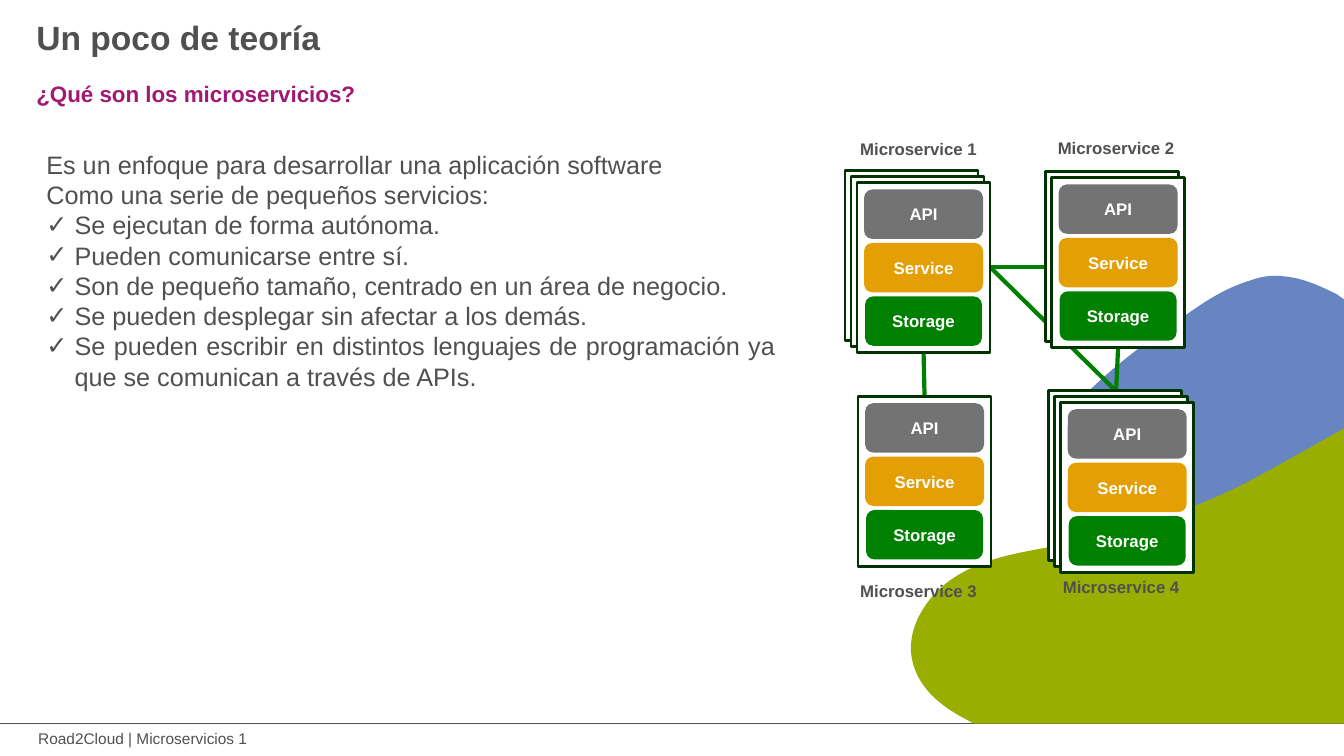
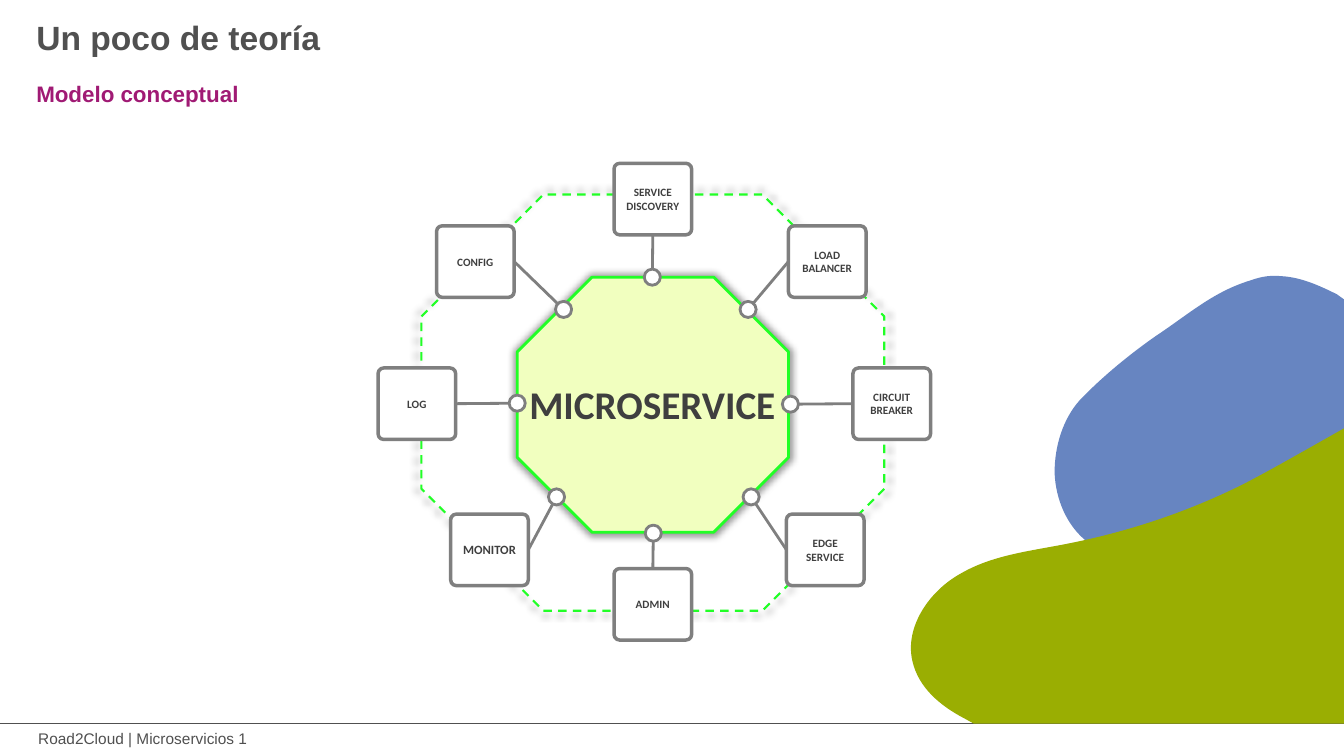
from dataclasses import dataclass

from lxml import etree
from pptx import Presentation
from pptx import util as u
from pptx.dml.color import RGBColor
from pptx.enum import dml, shapes, text
from pptx.oxml import ns

SCALE = 9144  # EMU in one px, 100 px to the inch
SLIDE_W, SLIDE_H = 1333, 750
FOOTER_Y = 718


@dataclass(frozen=True)
class Theme:
    sans: str = "Arial"
    diagram: str = "Calibri"
    ink: str = "505050"
    accent: str = "A01A74"
    white: str = "FFFFFF"
    hill_blue: str = "6785C1"
    hill_green: str = "9AAE02"
    card_edge: str = "003300"
    api: str = "737373"
    service: str = "E39F03"
    storage: str = "008000"
    neon: str = "21FF26"
    core: str = "F1FFBF"
    node_edge: str = "7F7F7F"
    node_ink: str = "3F3F3F"
    shadow: str = "000000"
    title_size: int = 24
    subtitle_size: int = 16
    body_size: int = 18
    label_size: int = 12
    footer_size: int = 11
    core_size: int = 28
    node_size: int = 8


THEME = Theme()
PAD = (10, 5)
TIGHT_PAD = (7, 4)

# Hills: a start point, then lines (2 numbers) and curves (6 numbers)
BLUE_HILL = [
    (1271, 274), (1290, 275, 1308, 283, 1326, 292), (1333, 297), (1333, 496),
    (1328, 496), (1308, 494, 1288, 483, 1267, 490),
    (1240, 500, 1205, 523, 1181, 539), (1161, 552, 1143, 561, 1119, 557),
    (1104, 554, 1090, 548, 1079, 538), (1058, 522, 1047, 495, 1046, 469),
    (1046, 443, 1054, 416, 1071, 397), (1093, 374, 1121, 351, 1147, 333),
    (1180, 311, 1204, 289, 1241, 278), (1252, 274, 1261, 273, 1271, 274),
]
GREEN_HILL = [
    (SLIDE_W, 425), (SLIDE_W, FOOTER_Y), (966, FOOTER_Y), (957, 713),
    (932, 700, 911, 682, 905, 656), (897, 622, 922, 586, 953, 569),
    (984, 551, 1020, 547, 1056, 540), (1118, 528, 1178, 508, 1234, 480),
    (1257, 468, 1280, 455, 1303, 442),
]

INTRO = ["Es un enfoque para desarrollar una aplicación software",
         "Como una serie de pequeños servicios:"]
TRAITS = [
    "Se ejecutan de forma autónoma.",
    "Pueden comunicarse entre sí.",
    "Son de pequeño tamaño, centrado en un área de negocio.",
    "Se pueden desplegar sin afectar a los demás.",
    "Se pueden escribir en distintos lenguajes de programación ya que se "
    "comunican a través de APIs.",
]

# Microservices: label, label position, front card position, cards in the stack
MICROSERVICES = [
    ("Microservice 1", (817, 133), (850, 181), 3),
    ("Microservice 2", (1013, 132), (1043, 176), 2),
    ("Microservice 3", (817, 571), (851, 393), 1),
    ("Microservice 4", (1018, 567), (1052, 399), 3),
]
CALLS = [((982, 265), (1107, 388)), ((916, 349), (917, 393)),
         ((982, 265), (1037, 265)), ((1109, 344), (1107, 388))]
LAYERS = [("API", THEME.api, 118), ("Service", THEME.service, 118),
          ("Storage", THEME.storage, 116)]
CARD_W, CARD_H, CARD_SHIFT = 132, 169, 6
LAYER_H, LAYER_TOP, LAYER_STEP = 49, 7, 53

# Supporting services: label, box position, dot centre, side that is linked
TOP, LEFT, BOTTOM, RIGHT = range(4)
SUPPORT = [
    ("SERVICE DISCOVERY", (609, 162), (647, 275), BOTTOM),
    ("LOAD BALANCER", (782, 224), (742, 307), LEFT),
    ("CIRCUIT BREAKER", (846, 365), (784, 401), LEFT),
    ("EDGE SERVICE", (780, 510), (745, 493), LEFT),
    ("ADMIN", (609, 564), (648, 529), TOP),
    ("MONITOR", (447, 510), (552, 493), RIGHT),
    ("LOG", (375, 365), (513, 400), RIGHT),
    ("CONFIG", (433, 224), (559, 307), RIGHT),
]
NODE_W, NODE_H, DOT = 77, 71, 16


def px(value):
    return u.Emu(round(value * SCALE))


def rgb(code):
    return RGBColor.from_string(code)


def write(shape, lines, size, color, font=THEME.sans, bold=False,
          align=text.PP_ALIGN.LEFT, anchor=text.MSO_ANCHOR.TOP, pad=PAD):
    frame = shape.text_frame
    frame.word_wrap = True
    frame.vertical_anchor = anchor
    frame.margin_left = frame.margin_right = px(pad[0])
    frame.margin_top = frame.margin_bottom = px(pad[1])
    frame.text = "\n".join(lines)
    for paragraph in frame.paragraphs:
        paragraph.alignment = align
        for run in paragraph.runs:
            run.font.name, run.font.size, run.font.bold = font, u.Pt(size), bold
            run.font.color.rgb = rgb(color)
    return frame


def add_text(slide, box, lines, size, color, **style):
    label = slide.shapes.add_textbox(*map(px, box))
    return write(label, lines, size, color, **style)


def paint(shape, fill=None, edge=None, weight=0):
    shape.shadow.inherit = False
    if fill:
        shape.fill.solid()
        shape.fill.fore_color.rgb = rgb(fill)
    else:
        shape.fill.background()
    if edge:
        shape.line.color.rgb = rgb(edge)
        shape.line.width = u.Pt(weight)
    else:
        shape.line.fill.background()
    return shape


def add_box(slide, kind, box, fill=None, edge=None, weight=0):
    return paint(slide.shapes.add_shape(kind, *map(px, box)), fill, edge, weight)


def add_line(slide, start, end, color, weight):
    line = slide.shapes.add_connector(
        shapes.MSO_CONNECTOR.STRAIGHT, *map(px, (*start, *end)))
    line.line.color.rgb = rgb(color)
    line.line.width = u.Pt(weight)
    etree.SubElement(line._element.spPr, ns.qn("a:effectLst"))
    return line


def add_glow(shape):
    effects = shape._element.spPr.find(ns.qn("a:effectLst"))
    outer = etree.SubElement(effects, ns.qn("a:outerShdw"), blurRad=str(u.Pt(5)),
                             sx="102000", sy="102000", algn="ctr", rotWithShape="0")
    color = etree.SubElement(outer, ns.qn("a:srgbClr"), val=THEME.shadow)
    etree.SubElement(color, ns.qn("a:alpha"), val="40000")


def add_hill(slide, outline, fill):
    points = [pair for part in outline for pair in zip(part[::2], part[1::2])]
    builder = slide.shapes.build_freeform(*points[0], scale=SCALE)
    builder.add_line_segments(points[1:], close=True)
    hill = paint(builder.convert_to_shape(), fill)
    # Join every three points of a curve into one Bezier segment
    steps = iter(list(hill._element.iter(ns.qn("a:lnTo"))))
    for part in outline[1:]:
        step = next(steps)
        if len(part) == 6:
            step.addprevious(curve := etree.Element(ns.qn("a:cubicBezTo")))
            for handle in (step, next(steps), next(steps)):
                curve.append(handle[0])
                handle.getparent().remove(handle)


def add_check(paragraph, indent=28):
    props = paragraph._p.get_or_add_pPr()
    props.set("marL", str(px(indent)))
    props.set("indent", str(px(-indent)))
    etree.SubElement(props, ns.qn("a:buFont"), typeface=THEME.sans)
    etree.SubElement(props, ns.qn("a:buChar"), char="✓")


def add_base_slide(deck, subtitle):
    slide = deck.slides.add_slide(deck.slide_layouts[6])
    # Footer line, hills and footer
    add_line(slide, (0, FOOTER_Y), (SLIDE_W, FOOTER_Y), THEME.ink, 0.5)
    add_hill(slide, BLUE_HILL, THEME.hill_blue)
    add_hill(slide, GREEN_HILL, THEME.hill_green)
    add_text(slide, (28, 718, 439, 29), ["Road2Cloud | Microservicios 1"],
             THEME.footer_size, THEME.ink)
    # Title and subtitle
    add_text(slide, (29, 13, 556, 48), ["Un poco de teoría"],
             THEME.title_size, THEME.ink, bold=True, pad=TIGHT_PAD)
    add_text(slide, (29, 75, 496, 35), [subtitle],
             THEME.subtitle_size, THEME.accent, bold=True, pad=TIGHT_PAD)
    return slide


def add_microservice(slide, label, label_at, front, cards):
    x, y = front
    for behind in reversed(range(cards)):
        shift = behind * CARD_SHIFT
        add_box(slide, shapes.MSO_SHAPE.RECTANGLE,
                (x - shift, y - shift, CARD_W, CARD_H),
                THEME.white, THEME.card_edge, 2)
    for row, (name, fill, width) in enumerate(LAYERS):
        layer = add_box(slide, shapes.MSO_SHAPE.ROUNDED_RECTANGLE,
                        (x + (CARD_W - width) // 2, y + LAYER_TOP + row * LAYER_STEP,
                         width, LAYER_H), fill)
        write(layer, [name], THEME.label_size, THEME.white, bold=True,
              align=text.PP_ALIGN.CENTER, anchor=text.MSO_ANCHOR.MIDDLE)
    add_text(slide, (*label_at, 188, 27), [label], THEME.label_size, THEME.ink,
             bold=True, align=text.PP_ALIGN.CENTER)


def add_support(slide, label, at, dot, side):
    node = add_box(slide, shapes.MSO_SHAPE.ROUNDED_RECTANGLE, (*at, NODE_W, NODE_H),
                   THEME.white, THEME.node_edge, 2.5)
    node.adjustments[0] = 0.08
    size = THEME.node_size + (label == "MONITOR")
    write(node, [label], size, THEME.node_ink, font=THEME.diagram, bold=True,
          align=text.PP_ALIGN.CENTER, anchor=text.MSO_ANCHOR.MIDDLE)
    link = add_line(slide, dot, at, THEME.node_edge, 2)
    link.end_connect(node, side)
    add_box(slide, shapes.MSO_SHAPE.OVAL,
            (dot[0] - DOT // 2, dot[1] - DOT // 2, DOT, DOT),
            THEME.white, THEME.node_edge, 2)


def build_definition(deck):
    slide = add_base_slide(deck, "¿Qué son los microservicios?")
    # Diagram of four services
    for start, end in CALLS:
        add_line(slide, start, end, THEME.storage, 3)
    for microservice in MICROSERVICES:
        add_microservice(slide, *microservice)
    # Definition
    definition = add_text(slide, (39, 144, 737, 311), INTRO + TRAITS,
                          THEME.body_size, THEME.ink,
                          align=text.PP_ALIGN.JUSTIFY, pad=TIGHT_PAD)
    for paragraph in definition.paragraphs[len(INTRO):]:
        add_check(paragraph)


def build_model(deck):
    slide = add_base_slide(deck, "Modelo conceptual")
    # Outer ring and core
    ring = add_box(slide, shapes.MSO_SHAPE.OCTAGON, (418, 193, 459, 413),
                   edge=THEME.neon, weight=1.5)
    ring.line.dash_style = dml.MSO_LINE.DASH
    core = add_box(slide, shapes.MSO_SHAPE.OCTAGON, (513, 275, 269, 253),
                   THEME.core, THEME.neon, 2)
    for octagon in (ring, core):
        add_glow(octagon)
    add_text(slide, (509, 372, 276, 57), ["MICROSERVICE"], THEME.core_size,
             THEME.node_ink, font=THEME.diagram, bold=True,
             align=text.PP_ALIGN.CENTER)
    # Supporting services
    for support in SUPPORT:
        add_support(slide, *support)


def main():
    deck = Presentation()
    deck.slide_width, deck.slide_height = px(SLIDE_W), px(SLIDE_H)
    build_definition(deck)
    build_model(deck)
    deck.save("out.pptx")


if __name__ == "__main__":
    main()
